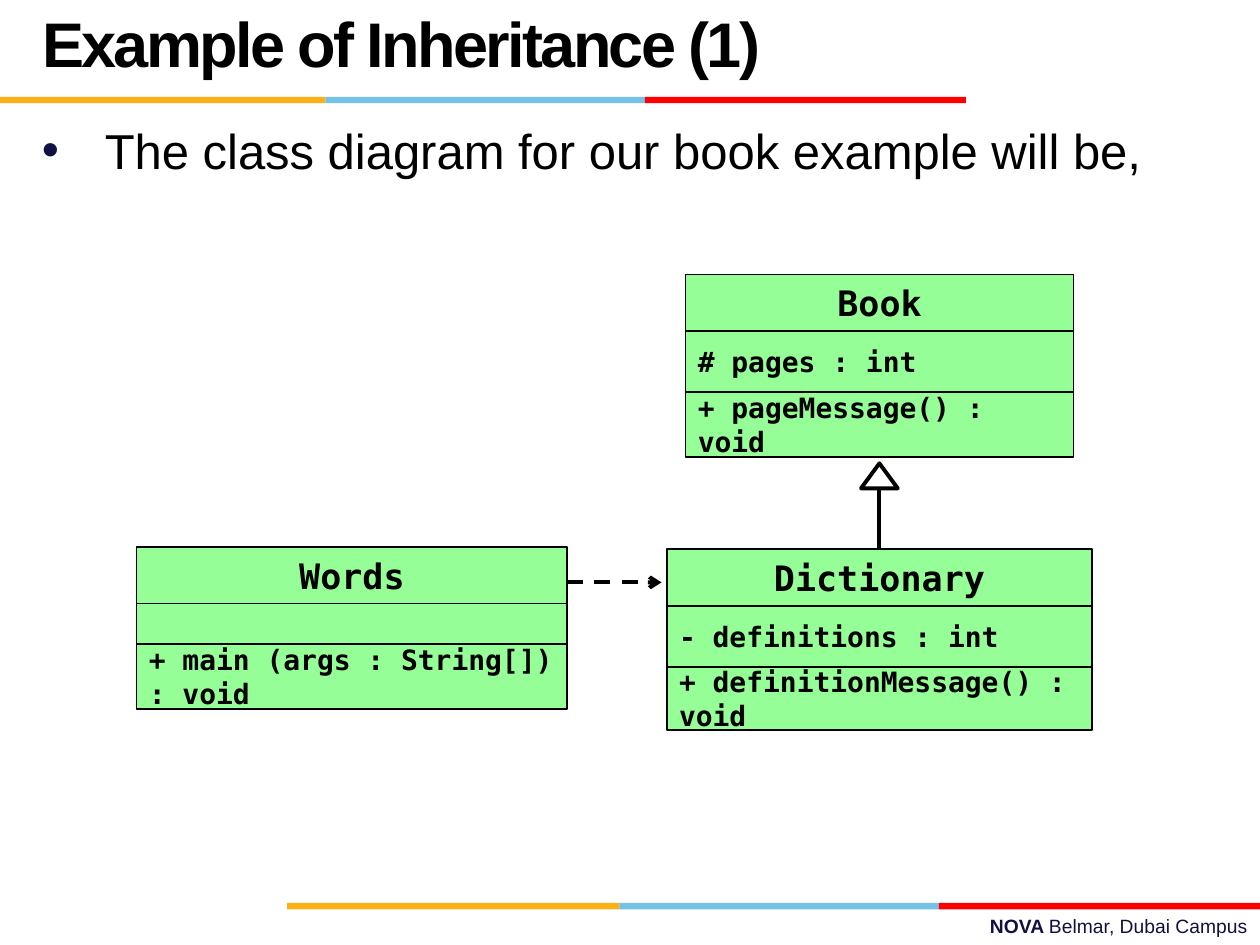
import pptx
import pptx.util
import pptx.dml.color
import pptx.enum.dml
import pptx.enum.shapes
import pptx.enum.text
import pptx.oxml.ns
import lxml.etree
from dataclasses import dataclass

Pt = pptx.util.Pt
RGB = pptx.dml.color.RGBColor
Shape = pptx.enum.shapes.MSO_SHAPE
Align = pptx.enum.text.PP_ALIGN
Mid = pptx.enum.text.MSO_ANCHOR.MIDDLE
qn = pptx.oxml.ns.qn

BLACK = RGB(0x00, 0x00, 0x00)
WHITE = RGB(0xFF, 0xFF, 0xFF)
NAVY = RGB(0x10, 0x11, 0x41)
GOLD = RGB(0xFC, 0xB0, 0x17)
SKY = RGB(0x76, 0xC2, 0xE5)
RED = RGB(0xFF, 0x00, 0x00)
GREEN = RGB(0x96, 0xFE, 0x96)
MONO = "DejaVu Sans Mono"

HEAD = dict(name=MONO, size=Pt(20), bold=True)
ITEM = dict(name=MONO, size=Pt(16), bold=True)
TITLE = dict(name="Arial", size=Pt(36), bold=True)
BODY = dict(name="Arial", size=Pt(28), bold=False)
FOOT = dict(name="Arial", size=Pt(11), bold=False)


@dataclass
class Card:
    """A class box: rows hold text and height, the first is the name."""
    left: float
    top: float
    width: float
    rows: list[tuple[str, float]]


@dataclass
class Strip:
    """Three bars between four edges."""
    top: float
    edges: list[float]


CARDS = [
    Card(391.7, 156.8, 221.8, [("Book", 32.2), ("# pages : int", 34.9),
                               ("+ pageMessage() : void", 37.2)]),
    Card(381, 313.8, 243.2, [("Dictionary", 32.4), ("- definitions : int", 34.9),
                             ("+ definitionMessage() : void", 36)]),
    Card(78, 312.5, 246.2, [("Words", 32.4), ("", 23),
                            ("+ main (args : String[]) : void", 37.3)]),
]
STRIPS = [Strip(55.3, [0, 186, 368.6, 552]),
          Strip(516, [164, 354, 536.6, 720])]


def write(para, text: str, form: dict, color: RGB = BLACK):
    """Add a run with the given format."""
    run = para.add_run()
    run.text = text
    for key, value in form.items():
        setattr(run.font, key, value)
    run.font.color.rgb = color
    return run


def block(slide, kind, left: float, top: float, width: float, height: float,
          fill: RGB, line: float = 0):
    """Draw a filled shape, outlined when line is above zero."""
    shape = slide.shapes.add_shape(kind, Pt(left), Pt(top), Pt(width), Pt(height))
    shape.shadow.inherit = False
    shape.fill.solid()
    shape.fill.fore_color.rgb = fill
    if line:
        shape.line.color.rgb = BLACK
        shape.line.width = Pt(line)
    else:
        shape.line.fill.background()
    return shape


def label(slide, left: float, top: float, width: float, height: float):
    """Add a wrapping text box and return its frame."""
    box = slide.shapes.add_textbox(Pt(left), Pt(top), Pt(width), Pt(height))
    box.text_frame.word_wrap = True
    return box.text_frame


def link(slide, start: tuple[float, float], end: tuple[float, float]):
    """Draw a straight black line."""
    line = slide.shapes.add_connector(
        pptx.enum.shapes.MSO_CONNECTOR.STRAIGHT,
        Pt(start[0]), Pt(start[1]), Pt(end[0]), Pt(end[1]))
    line.line.color.rgb = BLACK
    line.line.width = Pt(2.25)
    lxml.etree.SubElement(line._element.spPr, qn("a:effectLst"))
    return line


def draw_card(slide, card: Card) -> None:
    top = card.top
    for row, (text, height) in enumerate(card.rows):
        cell = block(slide, Shape.RECTANGLE, card.left, top, card.width, height, GREEN, 1)
        top += height
        if text:
            frame = cell.text_frame
            frame.word_wrap = True
            frame.vertical_anchor = Mid
            para = frame.paragraphs[0]
            para.alignment = Align.LEFT if row else Align.CENTER
            write(para, text, ITEM if row else HEAD)


def draw_strip(slide, strip: Strip) -> None:
    for left, right, color in zip(strip.edges, strip.edges[1:], (GOLD, SKY, RED)):
        block(slide, Shape.RECTANGLE, left, strip.top, right - left, 3.7, color)


def draw_title(slide, text: str) -> None:
    title = slide.shapes.title
    spot = dict(left=Pt(16.8), top=Pt(13.5), width=Pt(498), height=Pt(28.8))
    for key, value in spot.items():
        setattr(title, key, value)
    frame = title.text_frame
    frame.auto_size = pptx.enum.text.MSO_AUTO_SIZE.NONE
    frame.vertical_anchor = Mid
    para = frame.paragraphs[0]
    para.alignment = Align.LEFT
    para.line_spacing = Pt(36)
    run = write(para, text, TITLE)
    run._r.get_or_add_rPr().set("spc", "-150")


def draw_point(slide, text: str) -> None:
    """Write the bulleted line."""
    frame = label(slide, 16.8, 65.3, 691, 444)
    para = frame.paragraphs[0]
    write(para, text, BODY)
    props = para._p.get_or_add_pPr()
    props.set("marL", str(Pt(36)))
    props.set("indent", str(-Pt(36)))
    tint = lxml.etree.SubElement(props, qn("a:buClr"))
    lxml.etree.SubElement(tint, qn("a:srgbClr")).set("val", str(NAVY))
    lxml.etree.SubElement(props, qn("a:buFont")).set("typeface", "Arial")
    lxml.etree.SubElement(props, qn("a:buChar")).set("char", "•")


deck = pptx.Presentation()
deck.slide_width, deck.slide_height = Pt(720), Pt(540)
page = deck.slides.add_slide(deck.slide_layouts[5])

# Frame of the page
for strip in STRIPS:
    draw_strip(page, strip)
foot = label(page, 257.8, 519, 462.2, 20.6).paragraphs[0]
foot.alignment = Align.RIGHT
write(foot, "NOVA ", FOOT | dict(bold=True), NAVY)
write(foot, "Belmar, Dubai Campus", FOOT, NAVY)

# Heading and bullet
draw_title(page, "Example of Inheritance (1)")
draw_point(page, "The class diagram for our book example will be,")

# Dependency arrow
uses = link(page, (324, 332.8), (378, 332.8))
uses.line.dash_style = pptx.enum.dml.MSO_LINE.DASH
lxml.etree.SubElement(uses.line._get_or_add_ln(), qn("a:tailEnd")).set("type", "arrow")

# Inheritance arrow
link(page, (502.5, 319), (502.5, 271))
block(page, Shape.ISOSCELES_TRIANGLE, 492, 264.8, 21, 14.3, WHITE, 2.25)

# Class boxes
for card in CARDS:
    draw_card(page, card)

deck.save("out.pptx")
